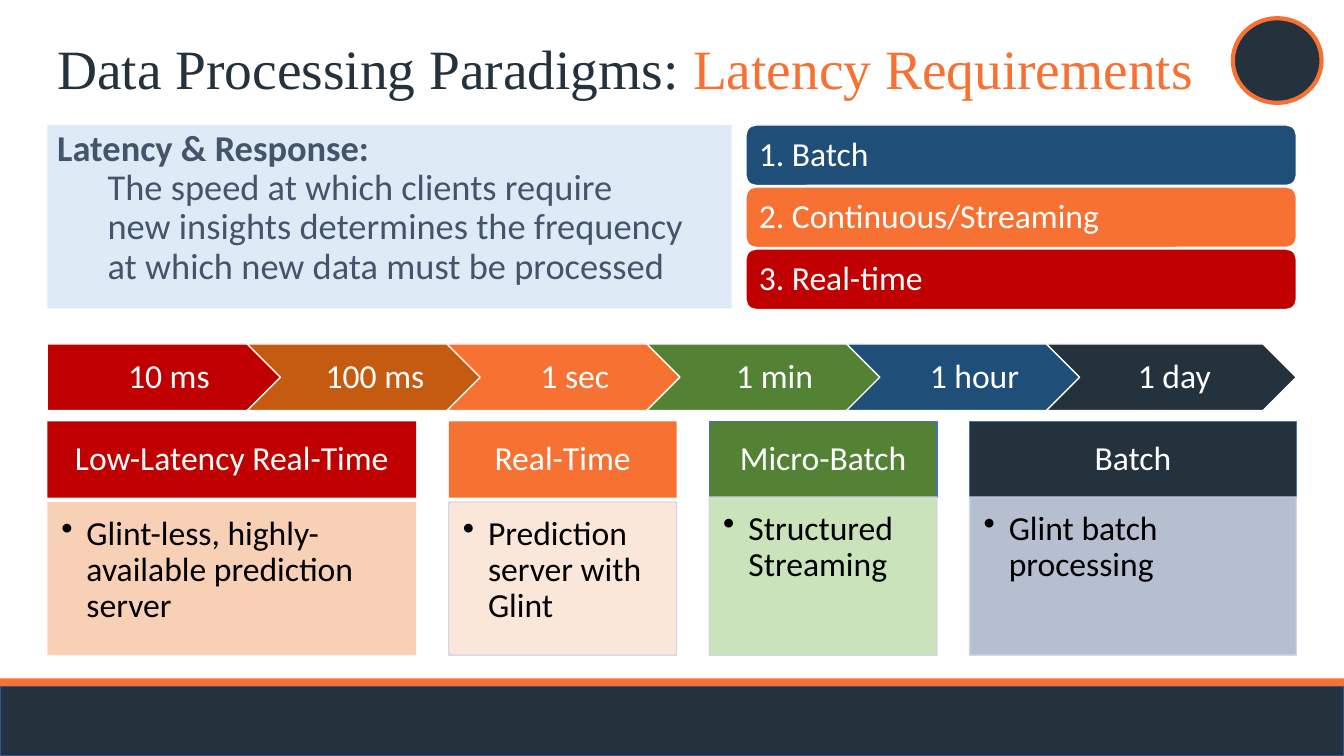
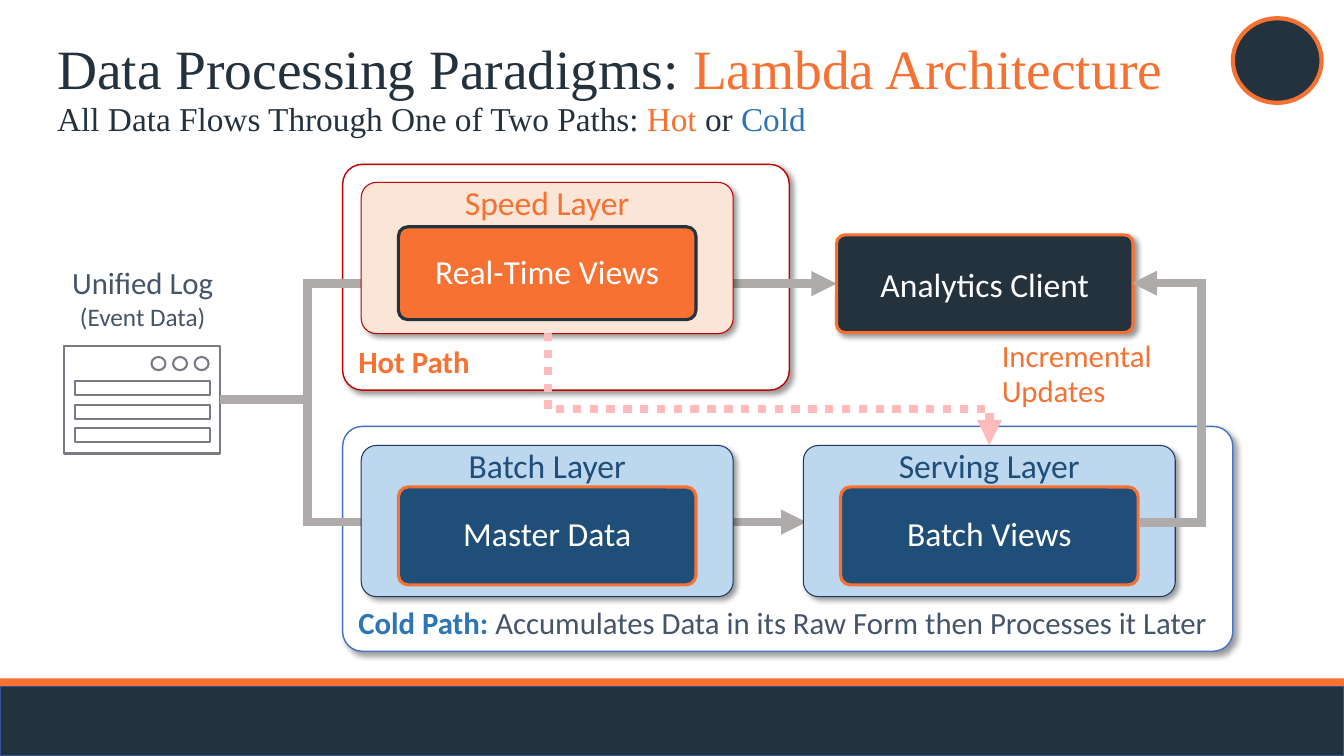
import dataclasses

import lxml.etree
import pptx
import pptx.dml.color
import pptx.enum.dml
import pptx.enum.shapes
import pptx.enum.text
import pptx.oxml.ns
import pptx.util

Pt = pptx.util.Pt
qn = pptx.oxml.ns.qn
KIND = pptx.enum.shapes.MSO_SHAPE
LINK = pptx.enum.shapes.MSO_CONNECTOR
ANCHOR = pptx.enum.text.MSO_ANCHOR
ALIGN = pptx.enum.text.PP_ALIGN


@dataclasses.dataclass(frozen=True)
class Theme:
    dark: str = "24323E"
    orange: str = "F67132"
    red: str = "C00000"
    rust: str = "C55A11"
    green: str = "548235"
    navy: str = "1F4E79"
    blue: str = "2E75B6"
    royal: str = "4472C4"
    slate: str = "44546A"
    sky: str = "BDD7EE"
    ice: str = "DEEBF7"
    peach: str = "F8CBAD"
    cream: str = "FBE5D6"
    mint: str = "C5E0B4"
    steel: str = "ADB9CA"
    mist: str = "CFD5EA"
    pink: str = "FFBBBB"
    gray: str = "AFABAB"
    edge: str = "7A7A87"
    ink: str = "203864"
    rim: str = "325491"
    white: str = "FFFFFF"
    black: str = "000000"
    serif: str = "Times New Roman"
    sans: str = "Calibri"
    title: float = 39.6
    sub: float = 23.8
    lead: float = 26
    text: float = 24
    note: float = 22
    small: float = 18


T = Theme()
LEFT, RIGHT = 33.8, 926
CENTER = {"alignment": ALIGN.CENTER}
TIGHT = {"line_spacing": 0.9}
MIDDLE = {"vertical_anchor": ANCHOR.MIDDLE}


def color(code):
    return pptx.dml.color.RGBColor.from_string(code)


def assign(target, values):
    for name, value in values.items():
        setattr(target, name, value)


def insets(left, top, right, bottom):
    return {"margin_left": Pt(left), "margin_top": Pt(top),
            "margin_right": Pt(right), "margin_bottom": Pt(bottom)}


def run(text, ink, size=T.text, bold=False, face=T.sans):
    return text, ink, {"size": Pt(size), "bold": bold, "name": face}


def write(shape, paras, form=None, frame=None):
    """Fill a shape with paragraphs, each a list of runs; newlines become breaks."""
    body = shape.text_frame
    assign(body, {"word_wrap": True, **(frame or {})})
    for index, runs in enumerate(paras):
        para = body.add_paragraph() if index else body.paragraphs[0]
        assign(para, {"alignment": ALIGN.LEFT, **(form or {})})
        for text, ink, font in runs:
            for row, part in enumerate(text.split("\n")):
                if row:
                    para.add_line_break()
                piece = para.add_run()
                piece.text = part
                assign(piece.font, font)
                piece.font.color.rgb = color(ink)


def indent(shape, left, bullet=False):
    """Give the paragraphs a hanging indent, with or without a bullet."""
    for para in shape.text_frame.paragraphs:
        props = para._p.get_or_add_pPr()
        props.set("marL", str(Pt(left)))
        props.set("indent", str(-Pt(left)))
        if bullet:
            lxml.etree.SubElement(props, qn("a:buChar"), char="•")


def label(slide, at, paras, form=None, frame=None):
    box = slide.shapes.add_textbox(*map(Pt, at))
    write(box, paras, form, frame)
    return box


def stroke(line, ink, width):
    line.color.rgb = color(ink)
    line.width = Pt(width)


def block(slide, kind, at, fill, line=None, round=None, shade=False):
    """Add a filled preset shape; line is (colour, width)."""
    shape = slide.shapes.add_shape(kind, *map(Pt, at))
    shape.shadow.inherit = False
    shape.fill.solid()
    shape.fill.fore_color.rgb = color(fill)
    if line:
        stroke(shape.line, *line)
    else:
        shape.line.fill.background()
    if round is not None:
        shape.adjustments[0] = round
    if shade:
        effects = shape.element.spPr.find(qn("a:effectLst"))
        drop = lxml.etree.SubElement(
            effects, qn("a:outerShdw"), blurRad=str(Pt(4)), dist=str(Pt(3)),
            dir="2700000", algn="tl", rotWithShape="0")
        tone = lxml.etree.SubElement(drop, qn("a:srgbClr"), val=T.black)
        lxml.etree.SubElement(tone, qn("a:alpha"), val="40000")
    return shape


def fade(shape, percent):
    """Make the fill and any outline partly transparent."""
    for tone in shape.element.spPr.iter(qn("a:srgbClr")):
        lxml.etree.SubElement(tone, qn("a:alpha"), val=str(percent * 1000))


def tip(shape, *ends):
    """Add mitred corners and triangle arrowheads."""
    line = shape.line._get_or_add_ln()
    lxml.etree.SubElement(line, qn("a:miter"), lim="800000")
    for end in ends:
        lxml.etree.SubElement(line, qn("a:" + end), type="triangle")


def route(slide, points, *ends):
    """Draw an open thick line through the points."""
    first, *rest = [(Pt(x), Pt(y)) for x, y in points]
    pen = slide.shapes.build_freeform(*first)
    pen.add_line_segments(rest, close=False)
    shape = pen.convert_to_shape()
    shape.shadow.inherit = False
    shape.fill.background()
    stroke(shape.line, T.gray, 6)
    tip(shape, *ends)


def link(slide, kind, ends, ink):
    line = slide.shapes.add_connector(kind, *map(Pt, ends))
    stroke(line.line, ink, 6)
    lxml.etree.SubElement(line.element.spPr, qn("a:effectLst"))
    return line


def start(deck, topic):
    """Add a slide with the shared band, badge and two-colour title."""
    slide = deck.slides.add_slide(deck.slide_layouts[6])
    block(slide, KIND.RECTANGLE, (0, 484.6, 960, 20), T.orange)
    block(slide, KIND.RECTANGLE, (0, 490.3, 960, 49.7), T.dark, (T.rim, 1))
    block(slide, KIND.OVAL, (880.6, 13, 63.4, 60.5), T.dark, (T.orange, 3))
    label(slide, (LEFT, 28.8, 836, 44.6),
          [[run("Data Processing Paradigms: ", T.dark, T.title, face=T.serif),
            run(topic, T.orange, T.title, face=T.serif)]], TIGHT, MIDDLE)
    return slide


def modes(slide):
    rows = (("1. Batch", T.navy), ("2. Continuous/Streaming", T.orange),
            ("3. Real-time", T.red))
    for index, (text, fill) in enumerate(rows):
        bar = block(slide, KIND.ROUNDED_RECTANGLE,
                    (532.8, 89.3 + 44.3 * index, 393.2, 43.2), fill, (T.white, 1))
        write(bar, [[run(text, T.white)]], TIGHT, {**MIDDLE, **insets(7.2, 7.2, 7.2, 7.2)})


def scale(slide):
    """Draw the row of latency chevrons."""
    steps = (("10 ms", T.red), ("100 ms", T.rust), ("1 sec", T.orange),
             ("1 min", T.green), ("1 hour", T.navy), ("1 day", T.dark))
    width = 178.6
    pitch = (RIGHT - LEFT - width) / (len(steps) - 1)
    for index, (text, fill) in enumerate(steps):
        kind, pad = (KIND.CHEVRON, 7.2) if index else (KIND.PENTAGON, 10)
        step = block(slide, kind, (LEFT + pitch * index, 245.7, width, 47.5),
                     fill, (T.white, 1))
        write(step, [[run(text, T.white)]], {**TIGHT, **CENTER},
              {**MIDDLE, **insets(pad, 5, 3, 5)})


def cards(slide):
    rim, pale = (T.royal, 1), (T.mist, 1)
    items = (
        (263.5, "Low-Latency Real-Time", T.red, None,
         "Glint-less, highly-available prediction server", T.peach, None, 358.6),
        (162.7, "Real-Time", T.orange, None,
         "Prediction server with Glint", T.cream, pale, 358.6),
        (162.7, "Micro-Batch", T.green, rim, "Structured Streaming", T.mint, pale, 355),
        (233.4, "Batch", T.dark, rim, "Glint batch processing", T.steel, pale, 355),
    )
    gap = (RIGHT - LEFT - sum(item[0] for item in items)) / (len(items) - 1)
    left = LEFT
    for width, name, fill, line, text, tint, edge, top in items:
        head = block(slide, KIND.RECTANGLE, (left, 301, width, 54.4), fill, line)
        write(head, [[run(name, T.white)]], {**TIGHT, **CENTER},
              {**MIDDLE, **insets(13.5, 8, 13.5, 8)})
        body = block(slide, KIND.RECTANGLE, (left, top, width, 468 - top), tint, edge)
        fade(body, 90)
        write(body, [[run(text, T.black)]], TIGHT,
              {"vertical_anchor": ANCHOR.TOP, **insets(10, 10, 13.5, 15)})
        indent(body, 18, bullet=True)
        left += width + gap


def latency(deck):
    slide = start(deck, "Latency Requirements")
    box = block(slide, KIND.RECTANGLE, (LEFT, 89.3, 488.9, 131), T.ice)
    write(box, [[run("Latency & Response:\n", T.slate, T.lead, True),
                 run("The speed at which clients require\n"
                     "new insights determines the frequency\n"
                     "at which new data must be processed", T.slate, T.lead)]],
          {**TIGHT, "space_before": Pt(10)}, {"vertical_anchor": ANCHOR.TOP})
    indent(box, 36)
    scale(slide)
    cards(slide)
    modes(slide)


def lane(slide, at, line, runs):
    """Draw a path outline captioned at its foot."""
    box = block(slide, KIND.ROUNDED_RECTANGLE, at, T.white, (line, 1), 0.087, True)
    write(box, [runs], frame={"vertical_anchor": ANCHOR.BOTTOM})


def layer(slide, left, top, name, view, tones, drop, height):
    """Draw a named layer holding one view."""
    tint, edge, ink, fill, rim = tones
    box = block(slide, KIND.ROUNDED_RECTANGLE, (left, top, 265.7, 108), tint,
                (edge, 0.75), 0.1, True)
    write(box, [[run(name, ink)]], {**TIGHT, **CENTER},
          {"vertical_anchor": ANCHOR.TOP, **insets(7.2, 0, 7.2, 0)})
    core = block(slide, KIND.ROUNDED_RECTANGLE, (left + 26.6, top + drop, 212.5, height),
                 fill, (rim, 2.25), 0.1)
    write(core, [[run(view, T.white)]], {**TIGHT, **CENTER},
          {**MIDDLE, **insets(5, 3.6, 5, 3.6)})


def server(slide):
    """Draw the log server and return its case."""
    line = (T.edge, 1.5)
    case = block(slide, KIND.RECTANGLE, (46, 247, 111, 77), T.white, line)
    for index in range(3):
        block(slide, KIND.OVAL, (108.2 + 15.4 * index, 255, 10, 9.4), T.white, line)
        block(slide, KIND.RECTANGLE, (53.3, 272 + 17 * index, 96.5, 10), T.white, line)
    return case


def updates(slide):
    """Draw the dotted elbow from the speed layer down to the serving layer."""
    bend = link(slide, LINK.ELBOW, (509, 120.2, 589, 435.6), T.pink)
    bend.line.dash_style = pptx.enum.dml.MSO_LINE.ROUND_DOT
    tip(bend, "tailEnd")
    props = bend.element.spPr
    for name, value in {"rot": "16200000", "flipH": "1"}.items():
        props.find(qn("a:xfrm")).set(name, value)
    shape = props.find(qn("a:prstGeom"))
    guides = shape.find(qn("a:avLst"))
    if guides is None:
        guides = lxml.etree.SubElement(shape, qn("a:avLst"))
    lxml.etree.SubElement(guides, qn("a:gd"), name="adj1", fmla="val 68000")


def lambdas(deck):
    slide = start(deck, "Lambda Architecture")
    parts = (("All Data Flows Through One of Two Paths: ", T.dark), ("Hot", T.orange),
             (" or ", T.dark), ("Cold", T.blue))
    label(slide, (LEFT, 74.2, 808.6, 28.8),
          [[run(text, ink, T.sub, face=T.serif) for text, ink in parts]],
          {"line_spacing": 0.7, "space_before": Pt(10)})
    lane(slide, (244.8, 304.6, 635.8, 160.6), T.royal,
         [run("Cold Path: ", T.blue, T.note, True),
          run("Accumulates Data in its Raw Form then Processes it Later",
              T.slate, T.note)])
    lane(slide, (244.8, 117.4, 319, 161.3), T.red,
         [run("Hot Path", T.orange, T.note, True)])
    route(slide, ((576, 373), (219.6, 373), (219.6, 202.6), (597.6, 202.6)),
          "headEnd", "tailEnd")
    case = server(slide)
    cold = (T.sky, T.ink, T.navy, T.navy, T.orange)
    hot = (T.cream, T.red, T.orange, T.orange, T.dark)
    layer(slide, 573.8, 318.2, "Serving Layer", "Batch Views", cold, 29.6, 70)
    layer(slide, 258, 318.2, "Batch Layer", "Master Data", cold, 29.6, 70)
    layer(slide, 258, 130.3, "Speed Layer", "Real-Time Views", hot, 31.7, 66.3)
    client = block(slide, KIND.ROUNDED_RECTANGLE, (597.6, 167.8, 211.7, 69.8),
                   T.dark, (T.orange, 2.25), 0.086, True)
    write(client, [[run("Analytics Client", T.white)]], CENTER, MIDDLE)
    route(slide, ((808.6, 202.3), (858.2, 202.3), (858.2, 373.3), (813.6, 373.3)),
          "headEnd")
    updates(slide)
    feed = link(slide, LINK.STRAIGHT, (157, 285.5, 219.6, 285.5), T.gray)
    feed.begin_connect(case, 3)
    label(slide, (38.9, 185, 126, 55.4),
          [[run("Unified Log", T.slate, T.note)],
           [run("(Event Data)", T.slate, T.small)]], CENTER)
    label(slide, (708.5, 238.3, 122.4, 57.6),
          [[run("Incremental\nUpdates", T.orange, T.note)]], {"line_spacing": Pt(25)})


def main():
    deck = pptx.Presentation()
    assign(deck, {"slide_width": Pt(960), "slide_height": Pt(540)})
    latency(deck)
    lambdas(deck)
    deck.save("out.pptx")


if __name__ == "__main__":
    main()
